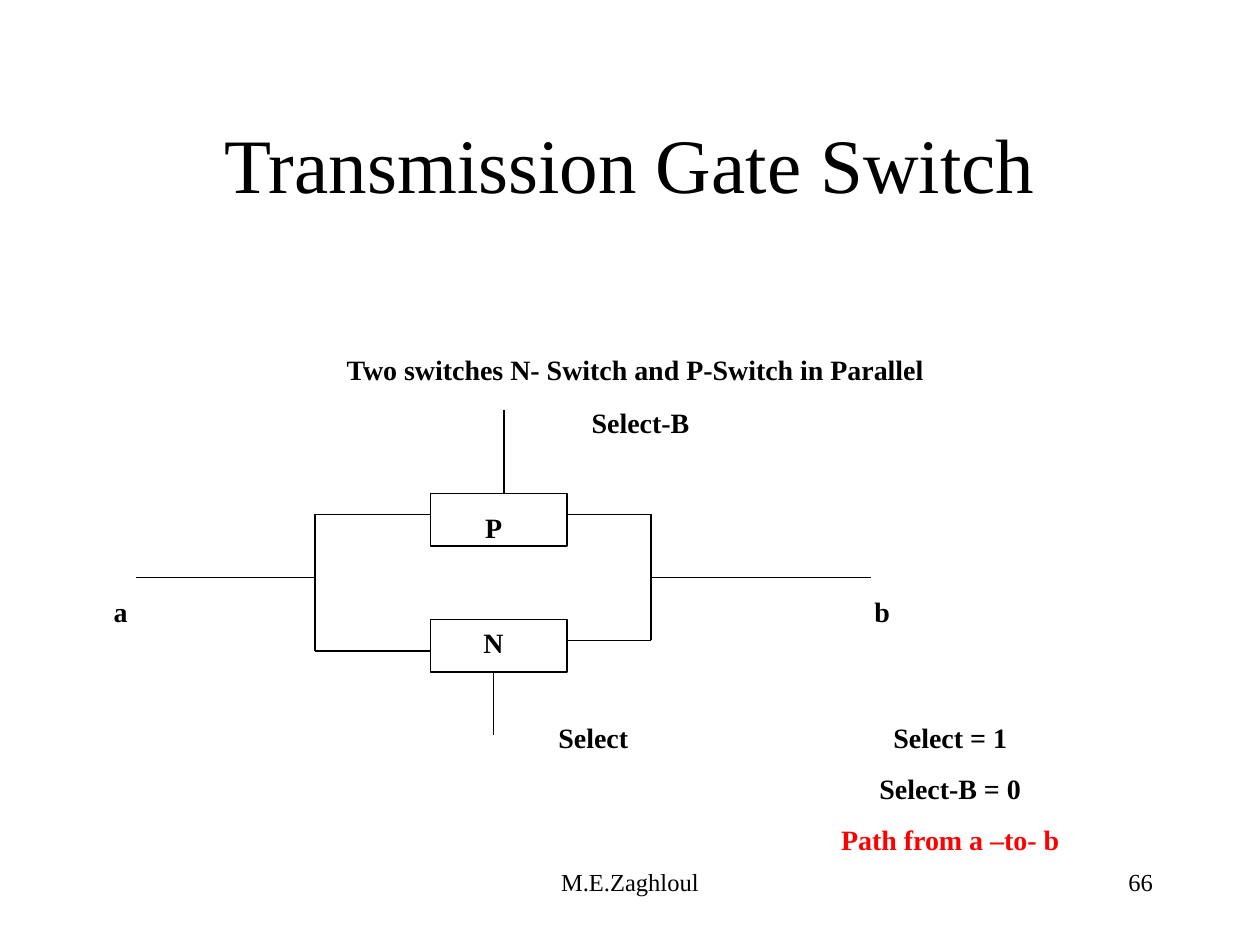
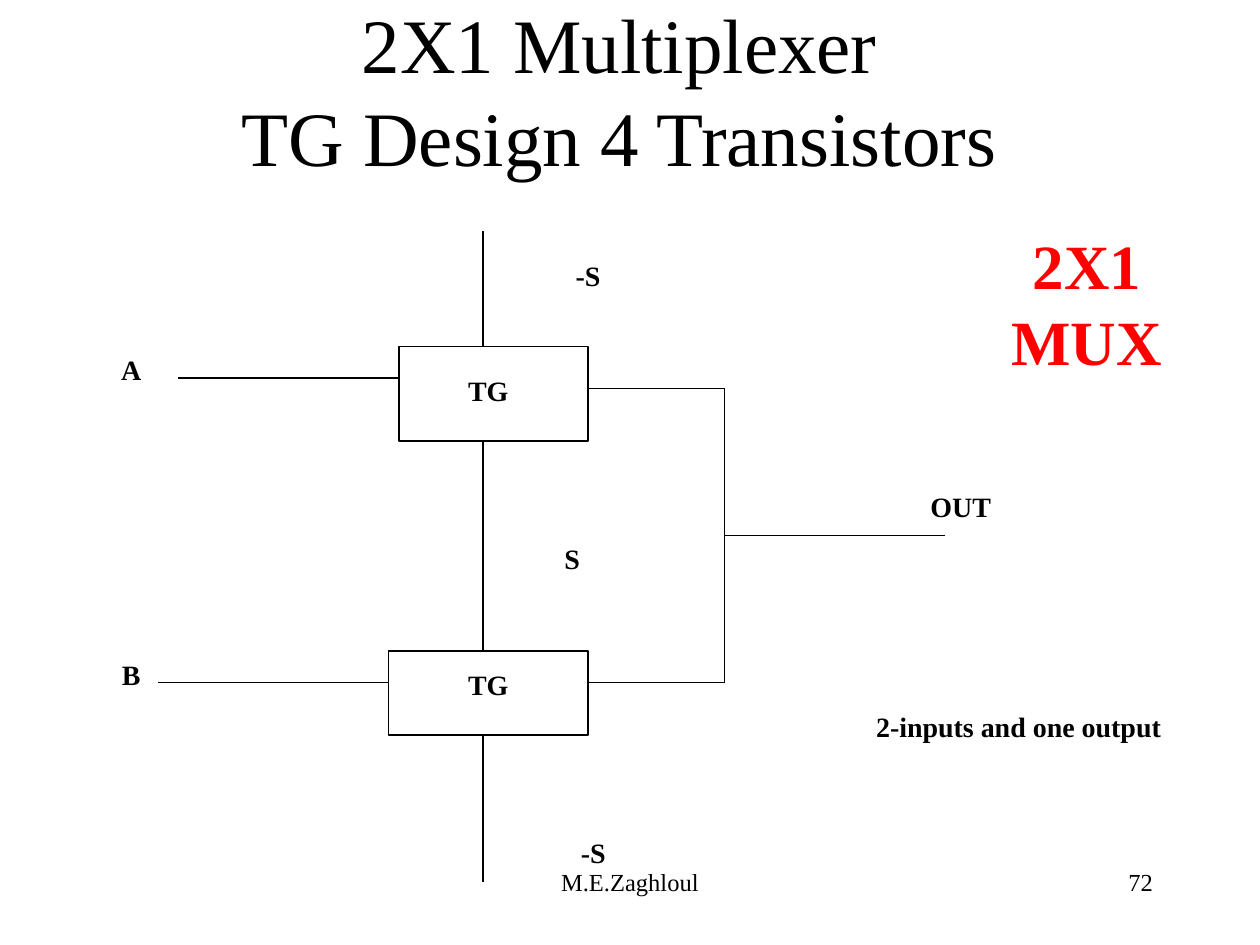
"""Build two slides on transmission gates: a parallel switch and a 2X1 multiplexer."""
from dataclasses import dataclass
from itertools import cycle

from lxml import etree
from pptx import Presentation
from pptx.dml.color import RGBColor
from pptx.enum.shapes import MSO_CONNECTOR, MSO_SHAPE
from pptx.enum.text import MSO_ANCHOR, MSO_AUTO_SIZE, PP_ALIGN
from pptx.oxml.ns import qn
from pptx.slide import Slide
from pptx.util import Inches, Pt

STRAIGHT = MSO_CONNECTOR.STRAIGHT
RECTANGLE = MSO_SHAPE.RECTANGLE
CENTER, RIGHT = PP_ALIGN.CENTER, PP_ALIGN.RIGHT
TOP, MIDDLE = MSO_ANCHOR.TOP, MSO_ANCHOR.MIDDLE
GROW, FIXED = MSO_AUTO_SIZE.SHAPE_TO_FIT_TEXT, MSO_AUTO_SIZE.NONE

SLIDE_WIDTH, SLIDE_HEIGHT = Inches(10), Inches(7.5)
COLUMNS, ROWS = 120, 90
FONT = "Times New Roman"
LINE_WIDTH = Pt(0.75)
COLORS = {"ink": "000000", "paper": "FFFFFF", "accent": "FF0000"}


@dataclass(frozen=True)
class TextStyle:
    size: float
    bold: bool = False
    space_before: float = 0
    alignment: PP_ALIGN = CENTER
    anchor: MSO_ANCHOR = TOP
    auto_size: MSO_AUTO_SIZE = FIXED


TITLE = TextStyle(44, anchor=MIDDLE)
FOOTER = TextStyle(14)
PAGE_NUMBER = TextStyle(14, alignment=RIGHT)
LABEL = TextStyle(16, bold=True, space_before=10, auto_size=GROW)
HEADLINE = TextStyle(36, bold=True, space_before=22.5, auto_size=GROW)


@dataclass(frozen=True)
class Label:
    text: str
    column: float
    row: float
    columns: float
    rows: float = 4.4
    style: TextStyle = LABEL
    colors: tuple[str, ...] = ("ink",)


@dataclass(frozen=True)
class Gate:
    column: float
    row: float
    columns: float
    rows: float


@dataclass(frozen=True)
class Wire:
    start_column: float
    start_row: float
    end_column: float
    end_row: float


@dataclass(frozen=True)
class Circuit:
    page: str
    title: Label
    gates: tuple[Gate, ...]
    wires: tuple[Wire, ...]
    labels: tuple[Label, ...]


def across(columns: float) -> int:
    return round(SLIDE_WIDTH * columns / COLUMNS)


def down(rows: float) -> int:
    return round(SLIDE_HEIGHT * rows / ROWS)


def color(name: str) -> RGBColor:
    return RGBColor.from_string(COLORS[name])


def area(item: Label | Gate) -> tuple[int, int, int, int]:
    return across(item.column), down(item.row), across(item.columns), down(item.rows)


def draw_label(slide: Slide, label: Label) -> None:
    style = label.style
    text_frame = slide.shapes.add_textbox(*area(label)).text_frame
    text_frame.text = label.text
    text_frame.word_wrap = True
    text_frame.auto_size = style.auto_size
    text_frame.vertical_anchor = style.anchor
    for paragraph, color_name in zip(text_frame.paragraphs, cycle(label.colors)):
        paragraph.alignment = style.alignment
        paragraph.space_before = Pt(style.space_before)
        for run in paragraph.runs:
            run.font.name = FONT
            run.font.size = Pt(style.size)
            run.font.bold = style.bold
            run.font.color.rgb = color(color_name)


def draw_gate(slide: Slide, gate: Gate) -> None:
    shape = slide.shapes.add_shape(RECTANGLE, *area(gate))
    shape.shadow.inherit = False
    shape.fill.solid()
    shape.fill.fore_color.rgb = color("paper")
    shape.line.color.rgb = color("ink")
    shape.line.width = LINE_WIDTH


def draw_wire(slide: Slide, wire: Wire) -> None:
    connector = slide.shapes.add_connector(
        STRAIGHT,
        across(wire.start_column), down(wire.start_row),
        across(wire.end_column), down(wire.end_row),
    )
    connector.line.color.rgb = color("ink")
    connector.line.width = LINE_WIDTH
    etree.SubElement(connector._element.spPr, qn("a:effectLst"))


def draw_circuit(slide: Slide, circuit: Circuit) -> None:
    draw_label(slide, Label("M.E.Zaghloul", 41, 82, 38, 6, FOOTER))
    draw_label(slide, Label(circuit.page, 86, 82, 25, 6, PAGE_NUMBER))
    draw_label(slide, circuit.title)
    for gate in circuit.gates:
        draw_gate(slide, gate)
    for wire in circuit.wires:
        draw_wire(slide, wire)
    for label in circuit.labels:
        draw_label(slide, label)


TRANSMISSION_GATE = Circuit(
    page="66",
    title=Label("Transmission Gate Switch", 9, 8, 102, 15, TITLE),
    gates=(Gate(41, 47, 13, 5), Gate(41, 59, 13, 5)),
    wires=(
        Wire(30, 49, 41, 49),
        Wire(30, 62, 41, 62),
        Wire(54, 49, 62, 49),
        Wire(54, 61, 62, 61),
        Wire(62, 49, 62, 61),
        Wire(30, 49, 30, 62),
        Wire(13, 55, 30, 55),
        Wire(62, 55, 83, 55),
        Wire(47, 64, 47, 70),
        Wire(48, 39, 48, 47),
    ),
    labels=(
        Label("Two switches N- Switch and P-Switch in Parallel", 31, 33, 59),
        Label("P", 43, 48, 8),
        Label("N", 43, 59, 8),
        Label("a", 6, 56, 11),
        Label("b", 79, 56, 10),
        Label("Select", 49, 68, 15),
        Label("Select-B", 53, 38, 16),
        Label("Select = 1\nSelect-B = 0\nPath from a –to- b", 76, 68, 29, 14.2,
              colors=("ink", "ink", "accent")),
    ),
)

MULTIPLEXER = Circuit(
    page="72",
    title=Label("2X1 Multiplexer\vTG Design 4 Transistors", 8, 1, 102, 15, TITLE),
    gates=(Gate(38, 33, 18, 9), Gate(37, 62, 19, 8)),
    wires=(
        Wire(17, 36, 38, 36),
        Wire(15, 65, 37, 65),
        Wire(56, 37, 69, 37),
        Wire(56, 65, 69, 65),
        Wire(69, 37, 69, 65),
        Wire(69, 51, 90, 51),
        Wire(46, 22, 46, 33),
        Wire(46, 42, 46, 62),
        Wire(46, 70, 46, 84),
    ),
    labels=(
        Label("TG", 40, 35, 13),
        Label("TG", 40, 63, 13),
        Label("A", 8, 33, 9),
        Label("B", 9, 62, 7),
        Label("OUT", 82, 46, 19),
        Label("-S", 49, 24, 14),
        Label("S", 50, 51, 9),
        Label("-S", 51, 79, 11),
        Label("2X1 MUX", 91, 21, 25, 15.6, HEADLINE, ("accent",)),
        Label("2-inputs and one output", 78, 67, 38),
    ),
)


def main() -> None:
    presentation = Presentation()
    presentation.slide_width, presentation.slide_height = SLIDE_WIDTH, SLIDE_HEIGHT
    blank_layout = presentation.slide_layouts[6]
    for circuit in (TRANSMISSION_GATE, MULTIPLEXER):
        draw_circuit(presentation.slides.add_slide(blank_layout), circuit)
    presentation.save("out.pptx")


if __name__ == "__main__":
    main()
